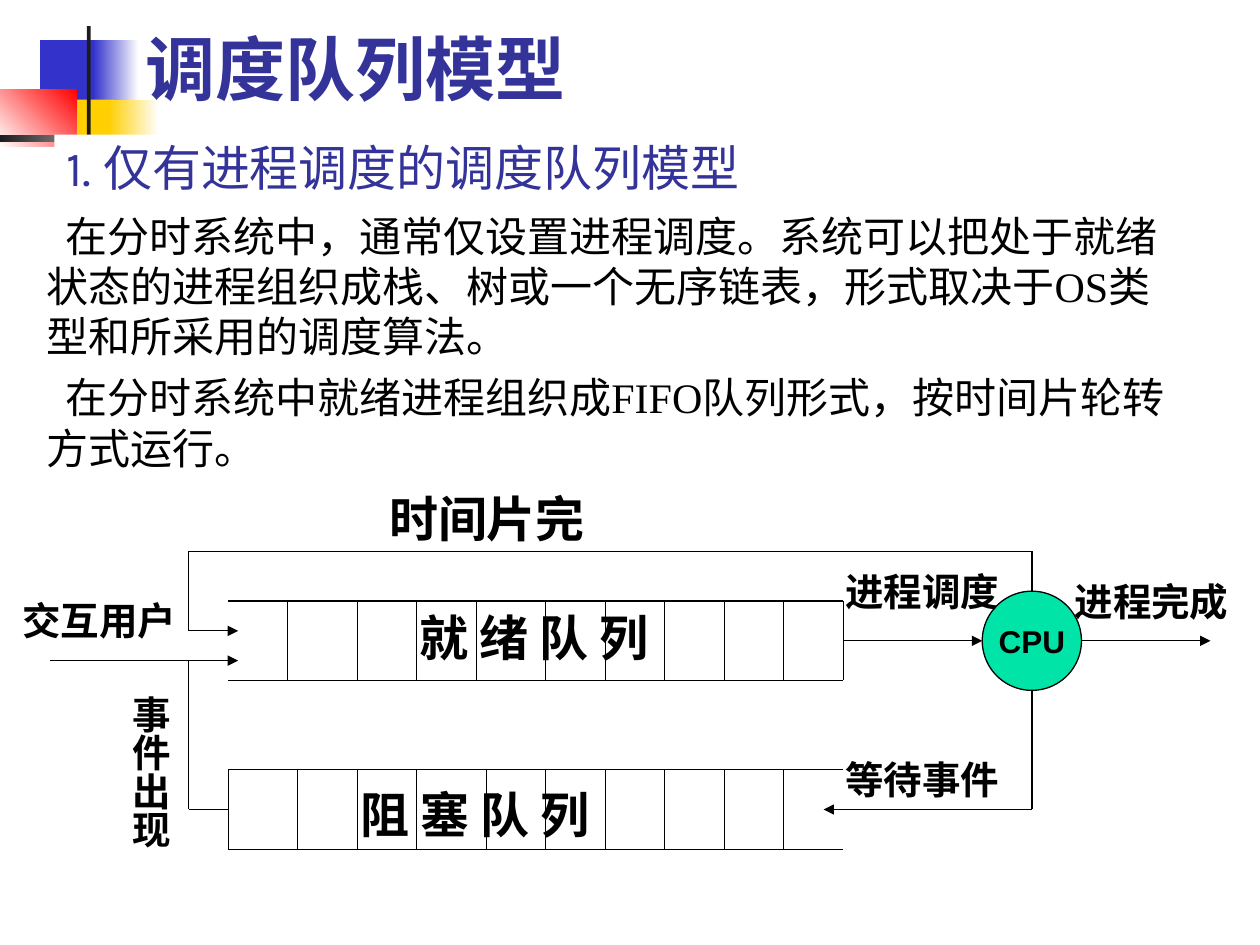
from dataclasses import dataclass

from lxml import etree
from pptx import Presentation
from pptx.dml.color import RGBColor
from pptx.enum.shapes import MSO_CONNECTOR, MSO_SHAPE
from pptx.enum.text import MSO_ANCHOR, MSO_AUTO_SIZE, PP_ALIGN
from pptx.oxml.ns import qn
from pptx.util import Pt

RECT, OVAL = MSO_SHAPE.RECTANGLE, MSO_SHAPE.OVAL
STRAIGHT = MSO_CONNECTOR.STRAIGHT
TOP, MIDDLE, BOTTOM = MSO_ANCHOR.TOP, MSO_ANCHOR.MIDDLE, MSO_ANCHOR.BOTTOM
CENTER = PP_ALIGN.CENTER
FIT = MSO_AUTO_SIZE.SHAPE_TO_FIT_TEXT


@dataclass(frozen=True)
class Theme:
    title: str = "333399"
    ink: str = "000000"
    paper: str = "FFFFFF"
    cpu: str = "00E4A8"
    blue: str = "3333CC"
    yellow: str = "FFCF01"
    red: str = "FF0000"
    dark: str = "1C1C1C"
    head_font: str = "Karla"
    body_font: str = "Times New Roman"
    label_font: str = "Arial"
    title_size: float = 40
    queue_size: float = 28
    body_size: float = 24
    label_size: float = 22
    cpu_size: float = 18
    line: float = 0.75


T = Theme()

# Diagram grid: 2 mm units, y counted from the top of the ready queue
UNIT, TOP_Y = 5.67, 343.5
QUEUE_LEFT, QUEUE_RIGHT, QUEUE_H = 23, 85, 8
BLOCKED_Y = 17
LOOP_X, CPU_X, CPU_R = 19, 104, 5
LOOP_Y, MID_Y, WAIT_Y = -5, 4, 21


def rgb(value):
    return RGBColor.from_string(value)


def add_block(s, box, color, fade_to=None, angle=0, kind=RECT):
    sp = s.shapes.add_shape(kind, *map(Pt, box))
    sp.shadow.inherit = False
    sp.line.fill.background()
    if fade_to:
        sp.fill.gradient()
        sp.fill.gradient_angle = angle
        for stop, value in zip(sp.fill.gradient_stops, (color, fade_to)):
            stop.color.rgb = rgb(value)
    else:
        sp.fill.solid()
        sp.fill.fore_color.rgb = rgb(color)
    return sp


def write(sp, paragraphs, size, font, color=T.ink, bold=False, anchor=TOP,
          align=None, gap=0, wrap=True):
    tf = sp.text_frame
    tf.word_wrap = wrap
    tf.vertical_anchor = anchor
    for i, text in enumerate(paragraphs):
        p = tf.add_paragraph() if i else tf.paragraphs[0]
        p.alignment = align
        if i:
            p.space_before = Pt(gap)
        r = p.add_run()
        r.text = text
        r.font.name, r.font.size, r.font.bold = font, Pt(size), bold
        r.font.color.rgb = rgb(color)
    return tf


def add_text(s, box, paragraphs, size, font, **style):
    sp = s.shapes.add_textbox(*map(Pt, box))
    return write(sp, paragraphs, size, font, **style)


def add_label(s, x, y, w, h, text, size, wrap=True):
    tf = add_text(s, (x, y, w, h), [text], size, T.label_font, bold=True, wrap=wrap)
    tf.auto_size = FIT
    return tf


def add_vertical_label(s, x, y, w, h, text, size):
    tf = add_label(s, x, y, w, h, text, size, wrap=False)
    tf.margin_left = tf.margin_right = Pt(3.6)
    tf.margin_top = tf.margin_bottom = Pt(7.2)
    tf._txBody.find(qn("a:bodyPr")).set("vert", "eaVert")


def add_path(s, *points, arrow=False):
    """Straight segments through grid points, with an optional last arrowhead."""
    for start, end in zip(points, points[1:]):
        ends = [Pt(v) for x, y in (start, end) for v in (x * UNIT, TOP_Y + y * UNIT)]
        c = s.shapes.add_connector(STRAIGHT, *ends)
        c.line.color.rgb = rgb(T.ink)
        c.line.width = Pt(T.line)
        if arrow and end == points[-1]:
            etree.SubElement(c.line._get_or_add_ln(), qn("a:tailEnd"), type="triangle")
        etree.SubElement(c._element.spPr, qn("a:effectLst"))


def add_queue(s, y, dividers):
    for edge in (y, y + QUEUE_H):
        add_path(s, (QUEUE_LEFT, edge), (QUEUE_RIGHT, edge))
    for x in dividers:
        add_path(s, (x, y), (x, y + QUEUE_H))


def add_decoration(s):
    add_block(s, (23, 23, 34.5, 37.4), T.blue)
    add_block(s, (53.3, 23, 26, 37.4), T.blue, T.paper)
    add_block(s, (32.4, 56.9, 33, 37.4), T.yellow)
    add_block(s, (62, 56.9, 28.8, 37.4), T.yellow, T.paper)
    add_block(s, (0, 51, 44, 33), T.paper, T.red, angle=45)
    add_block(s, (49.7, 15, 2.2, 82.8), T.dark)
    add_block(s, (0, 77, 87.8, 4.3), T.dark, T.paper)


def add_flow(s):
    # Queues
    add_queue(s, 0, [29, 36, 42, 48, 55, 61, 67, 73, 79, QUEUE_RIGHT])
    add_queue(s, BLOCKED_Y, [QUEUE_LEFT, 30, 36, 42, 49, 55, 61, 67, 73, 79])

    # Time slice loop, arrivals and event return
    add_path(s, (CPU_X, MID_Y - CPU_R), (CPU_X, LOOP_Y), (LOOP_X, LOOP_Y),
             (LOOP_X, 3), (24, 3), arrow=True)
    add_path(s, (5, 6), (24, 6), arrow=True)
    add_path(s, (LOOP_X, 6), (LOOP_X, WAIT_Y), (QUEUE_LEFT, WAIT_Y))

    # Dispatch, completion and waiting
    add_path(s, (QUEUE_RIGHT, MID_Y), (CPU_X - CPU_R, MID_Y), arrow=True)
    add_path(s, (CPU_X + CPU_R, MID_Y), (122, MID_Y), arrow=True)
    add_path(s, (CPU_X, MID_Y + CPU_R), (CPU_X, WAIT_Y), (83, WAIT_Y), arrow=True)

    # CPU
    d = 2 * CPU_R * UNIT
    box = ((CPU_X - CPU_R) * UNIT, TOP_Y + (MID_Y - CPU_R) * UNIT, d, d)
    cpu = add_block(s, box, T.cpu, kind=OVAL)
    cpu.line.color.rgb = rgb(T.ink)
    cpu.line.width = Pt(T.line)
    write(cpu, ["CPU"], T.cpu_size, T.label_font, bold=True, anchor=MIDDLE,
          align=CENTER, wrap=False)

    # Labels
    for x, y, text in ((232.6, 343.5, "就 绪 队 列"), (198.7, 445, "阻 塞 队 列"),
                       (215.3, 275.8, "时间片完")):
        add_label(s, x, y, 153.4, 41, text, T.queue_size)
    for x, y, text in ((476, 321, "进程调度"), (476, 428.5, "等待事件"),
                       (607, 327, "进程完成"), (5.8, 337.7, "交互用户")):
        add_label(s, x, y, 113, 33.8, text, T.label_size)
    add_vertical_label(s, 62.6, 390.2, 40.3, 95, "事件出现", T.label_size)


def main():
    prs = Presentation()
    prs.slide_width, prs.slide_height = Pt(720), Pt(540)
    s = prs.slides.add_slide(prs.slide_layouts[6])

    add_decoration(s)

    # Heading, body and title
    heading = add_block(s, (31, 77, 613.4, 38.9), T.paper)
    write(heading, ["1. 仅有进程调度的调度队列模型"], T.queue_size, T.head_font,
          color=T.title, anchor=BOTTOM, align=PP_ALIGN.LEFT)
    add_text(s, (19.5, 116.6, 661, 158.4), [
        "  在分时系统中，通常仅设置进程调度。系统可以把处于就绪状态的进程组织成栈、"
        "树或一个无序链表，形式取决于OS类型和所采用的调度算法。",
        "  在分时系统中就绪进程组织成FIFO队列形式，按时间片轮转方式运行。",
    ], T.body_size, T.body_font, gap=6)
    add_text(s, (76.3, 15, 613.4, 51), ["调度队列模型"], T.title_size, T.head_font,
             color=T.title, bold=True, anchor=BOTTOM)

    add_flow(s)
    prs.save("out.pptx")


if __name__ == "__main__":
    main()
